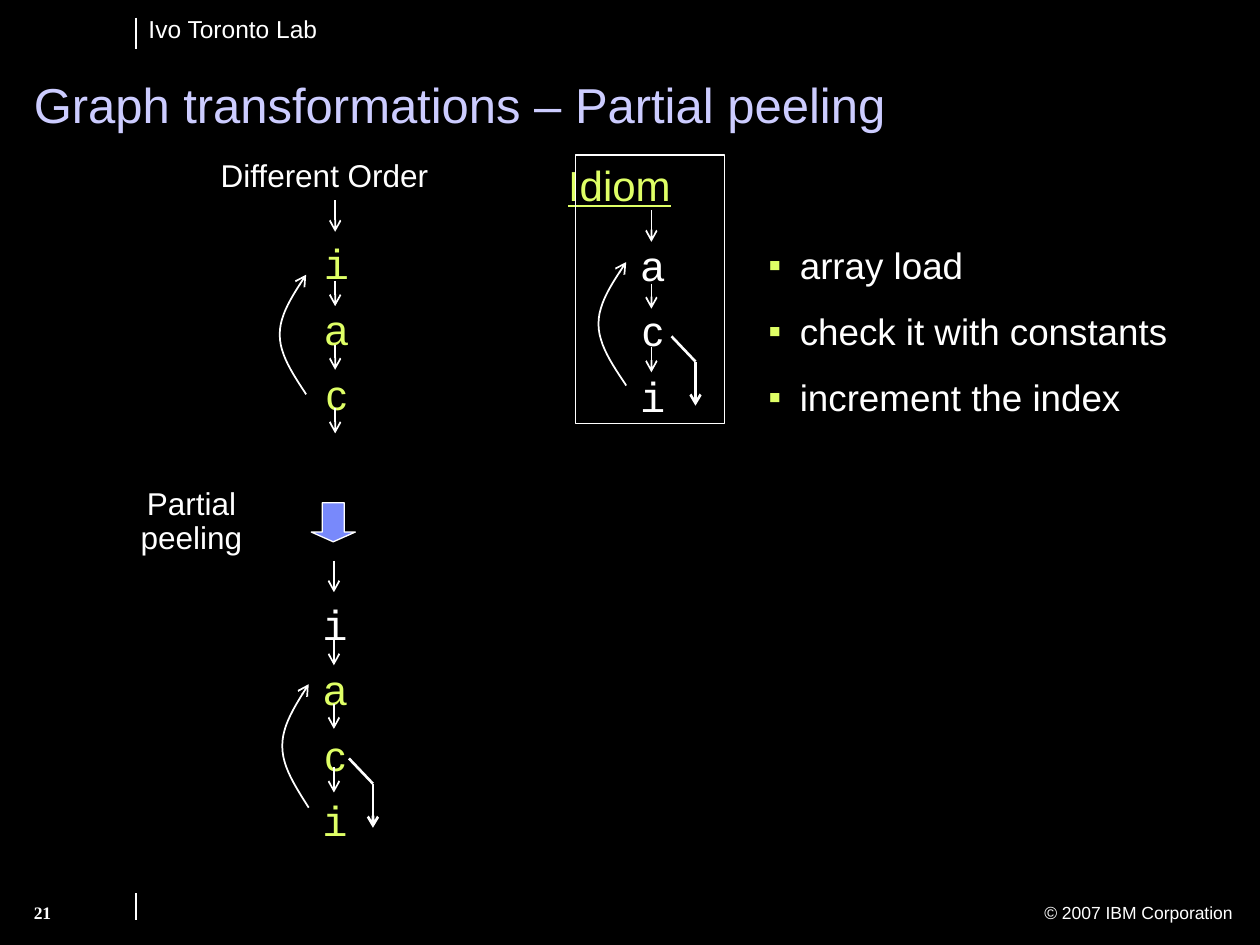
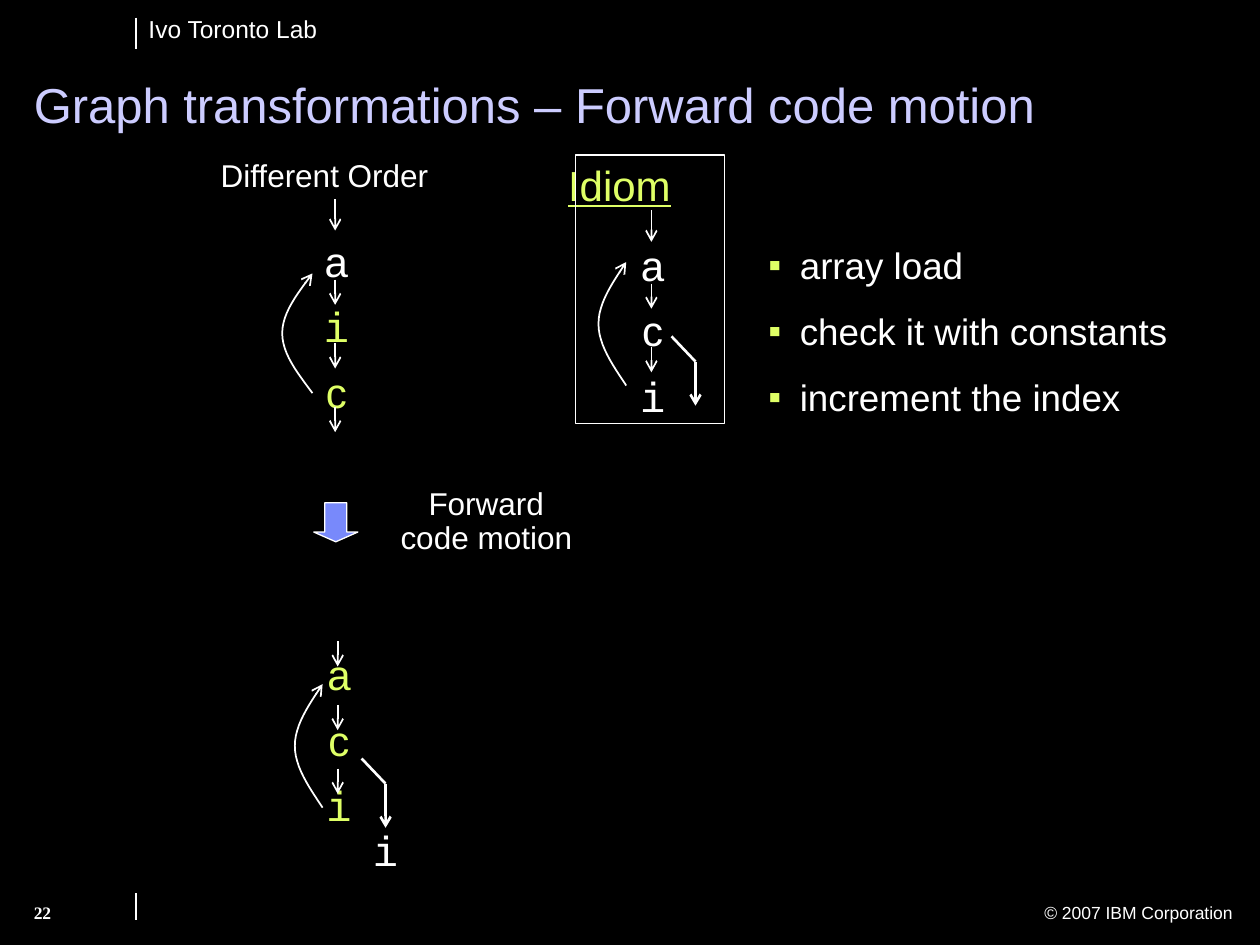
from lxml.etree import SubElement
from pptx import Presentation
from pptx.dml.color import RGBColor
from pptx.enum.shapes import MSO_CONNECTOR as CONN, MSO_SHAPE as SHAPE
from pptx.enum.text import MSO_ANCHOR as ANCHOR, PP_ALIGN as ALIGN
from pptx.oxml.ns import qn
from pptx.util import Inches, Pt

WHITE, LIME, LILAC, BLUE, BLACK = "FFFFFF", "DFFF66", "CCCCFF", "7889FB", "000000"
STEP = 0.52    # height of one letter row
LINK = 0.505   # distance between the arrows joining letters


def rgb(value):
    return RGBColor.from_string(value)


# --- Basic parts ---

def add_text(s, box, paras, size, font="Arial", color=WHITE, align=ALIGN.LEFT,
             spacing=1.0, anchor=ANCHOR.TOP, **style):
    """Each paragraph is a string or a dict with its own text, font and color."""
    tf = s.shapes.add_textbox(*map(Inches, box)).text_frame
    tf.word_wrap = True
    tf.vertical_anchor = anchor
    for i, para in enumerate(paras):
        spec_of_run = {"font": font, "color": color}
        spec_of_run.update(para if isinstance(para, dict) else {"text": para})
        p = tf.add_paragraph() if i else tf.paragraphs[0]
        p.alignment, p.line_spacing = align, spacing
        r = p.add_run()
        r.text = spec_of_run["text"]
        r.font.color.rgb = rgb(spec_of_run["color"])
        values = {"name": spec_of_run["font"], "size": Pt(size), **style}
        for key, value in values.items():
            setattr(r.font, key, value)
    return tf


def style_line(sp, width, arrow=False):
    sp.line.color.rgb = rgb(WHITE)
    sp.line.width = Pt(width)
    if arrow:
        SubElement(sp.line._get_or_add_ln(), qn("a:tailEnd"), type="arrow")


def add_line(s, x1, y1, x2, y2, width=1, arrow=False):
    c = s.shapes.add_connector(CONN.STRAIGHT, *map(Inches, (x1, y1, x2, y2)))
    style_line(c, width, arrow)
    SubElement(c._element.spPr, qn("a:effectLst"))


def add_down_arrow(s, x, y, length):
    add_line(s, x, y, x, y + length, arrow=True)


def add_shape(s, kind, box, fill=None):
    sp = s.shapes.add_shape(kind, *map(Inches, box))
    sp.shadow.inherit = False
    if fill:
        sp.fill.solid()
        sp.fill.fore_color.rgb = rgb(fill)
    else:
        sp.fill.background()
    style_line(sp, 0.75)
    return sp


def add_back_arc(s, x, y, w, h, samples=12):
    """Curve from the bottom right, bulging left, up to an arrow at the top right."""
    def bezier(t, a, b, c, d):
        u = 1 - t
        return u**3 * a + 3 * u * u * t * b + 3 * u * t * t * c + t**3 * d

    lower = [(x + w * bezier(t, 1, 0.5, 0, 0), y + h * bezier(t, 1, 0.83, 0.67, 0.5))
             for t in (i / samples for i in range(samples + 1))]
    upper = [(px, 2 * y + h - py) for px, py in reversed(lower[:-1])]
    points = [(Inches(px), Inches(py)) for px, py in lower + upper]
    fb = s.shapes.build_freeform(*points[0])
    fb.add_line_segments(points[1:], close=False)
    sp = fb.convert_to_shape()
    sp.shadow.inherit = False
    sp.fill.background()
    style_line(sp, 1, arrow=True)


# --- Regions ---

def add_flow(s, x, y, steps, first_link, links, arc, entry=None, exit_x=None):
    """Column of letters with a loop; steps are (letter, color) pairs."""
    paras = [{"text": letter, "color": color,
              "font": "Courier New" if letter == "i" else "Arial"}
             for letter, color in steps]
    add_text(s, (x, y, 0.9, 0.1 + STEP * len(steps)), paras, 24,
             align=ALIGN.CENTER, spacing=1.3)
    mid = x + 0.44
    if entry is not None:
        add_down_arrow(s, mid, y + entry, 0.25)
    for i in range(links):
        add_down_arrow(s, mid, y + first_link + i * LINK, 0.2)
    dx, dy, w, h = arc
    add_back_arc(s, x + dx, y + dy, w, h)
    if exit_x is not None:
        bend_x, bend_y = x + exit_x, y + dy + 0.79
        add_line(s, bend_x, bend_y, bend_x - 0.19, bend_y - 0.2, 1.5)
        add_line(s, bend_x, bend_y, bend_x, bend_y + 0.35, 1.5, arrow=True)


def add_idiom(s, x, y):
    """Framed target idiom and the meaning of its letters."""
    add_text(s, (x - 0.16, y + 0.03, 1.51, 0.46), ["Idiom"], 24, color=LIME,
             spacing=0.9, underline=True)
    add_shape(s, SHAPE.RECTANGLE, (x, y, 1.18, 2.13))
    add_flow(s, x + 0.16, y + 0.5, [(c, WHITE) for c in "aci"], 0.52, 2,
             (0.02, 0.35, 0.22, 0.98), entry=-0.06, exit_x=0.79)
    tf = add_text(s, (x + 1.43, y + 0.47, 3.43, 1.68),
                  ["array load", "check it with constants", "increment the index"],
                  21, spacing=1.5)
    for p in tf.paragraphs:
        pPr = p._p.get_or_add_pPr()
        pPr.set("marL", str(Inches(0.25)))
        pPr.set("indent", str(-Inches(0.25)))
        SubElement(SubElement(pPr, qn("a:buClr")), qn("a:srgbClr"), val=LIME)
        SubElement(pPr, qn("a:buFont"), typeface="Arial")
        SubElement(pPr, qn("a:buChar"), char="▪")


def add_transform(s, arrow_x, label_box, label):
    """Block arrow with the name of the transformation beside it."""
    add_text(s, label_box, label, 18, align=ALIGN.CENTER, spacing=0.9)
    sp = add_shape(s, SHAPE.DOWN_ARROW, (arrow_x, 3.99, 0.35, 0.31), BLUE)
    sp.adjustments[0], sp.adjustments[1] = 0.5, 0.25


def add_base(prs, title, number):
    """Slide with header, title, footer and the parts both examples share."""
    s = prs.slides.add_slide(prs.slide_layouts[6])
    s.background.fill.solid()
    s.background.fill.fore_color.rgb = rgb(BLACK)
    add_text(s, (1.08, 0.06, 1.65, 0.33), ["Ivo Toronto Lab"], 14)
    add_text(s, (6.26, 7.11, 3.62, 0.27), ["© 2007 IBM Corporation"], 10,
             align=ALIGN.RIGHT)
    for top, bottom in ((0.14, 0.39), (7.09, 7.3)):
        add_line(s, 1.08, top, 1.08, bottom)
    add_text(s, (0.17, 0.56, 9.6, 0.55), [f"Graph transformations – {title}"], 28,
             color=LILAC, spacing=0.9, anchor=ANCHOR.BOTTOM)
    add_text(s, (0.17, 7.11, 1.1, 0.35), [str(number)], 10,
             font="Times New Roman", bold=True)
    add_text(s, (1.4, 1.22, 2.35, 0.37), ["Different Order"], 18,
             align=ALIGN.CENTER, spacing=0.9)
    add_idiom(s, 4.57, 1.23)
    return s


# --- Slides ---

def partial_peeling(prs):
    s = add_base(prs, "Partial peeling", 21)
    add_flow(s, 2.22, 1.72, [(c, LIME) for c in "iac"], 0.51, 3,
             (0, 0.46, 0.21, 0.95), entry=-0.13)
    add_transform(s, 2.47, (0.77, 3.83, 1.5, 0.64), ["Partial", "peeling"])
    add_flow(s, 2.21, 4.58, [("i", WHITE)] + [(c, LIME) for c in "aci"], 0.5, 3,
             (0.03, 0.85, 0.21, 0.98), entry=-0.13, exit_x=0.75)


def forward_code_motion(prs):
    s = add_base(prs, "Forward code motion", 22)
    add_flow(s, 2.22, 1.7, [("a", WHITE), ("i", LIME), ("c", LIME)], 0.52, 3,
             (0.02, 0.47, 0.24, 0.95), entry=-0.12)
    add_transform(s, 2.49, (2.83, 3.83, 2.06, 0.64), ["Forward", "code motion"])
    add_flow(s, 2.24, 4.98, [(c, LIME) for c in "aci"], 0.11, 3,
             (0.1, 0.45, 0.22, 0.98), exit_x=0.82)
    # Increment moved to the loop exit
    add_text(s, (2.61, 6.54, 0.9, 0.46), ["i"], 24, font="Courier New",
             align=ALIGN.CENTER, spacing=0.9)


def main():
    prs = Presentation()
    prs.slide_width, prs.slide_height = Inches(10), Inches(7.5)
    partial_peeling(prs)
    forward_code_motion(prs)
    prs.save("out.pptx")


if __name__ == "__main__":
    main()
